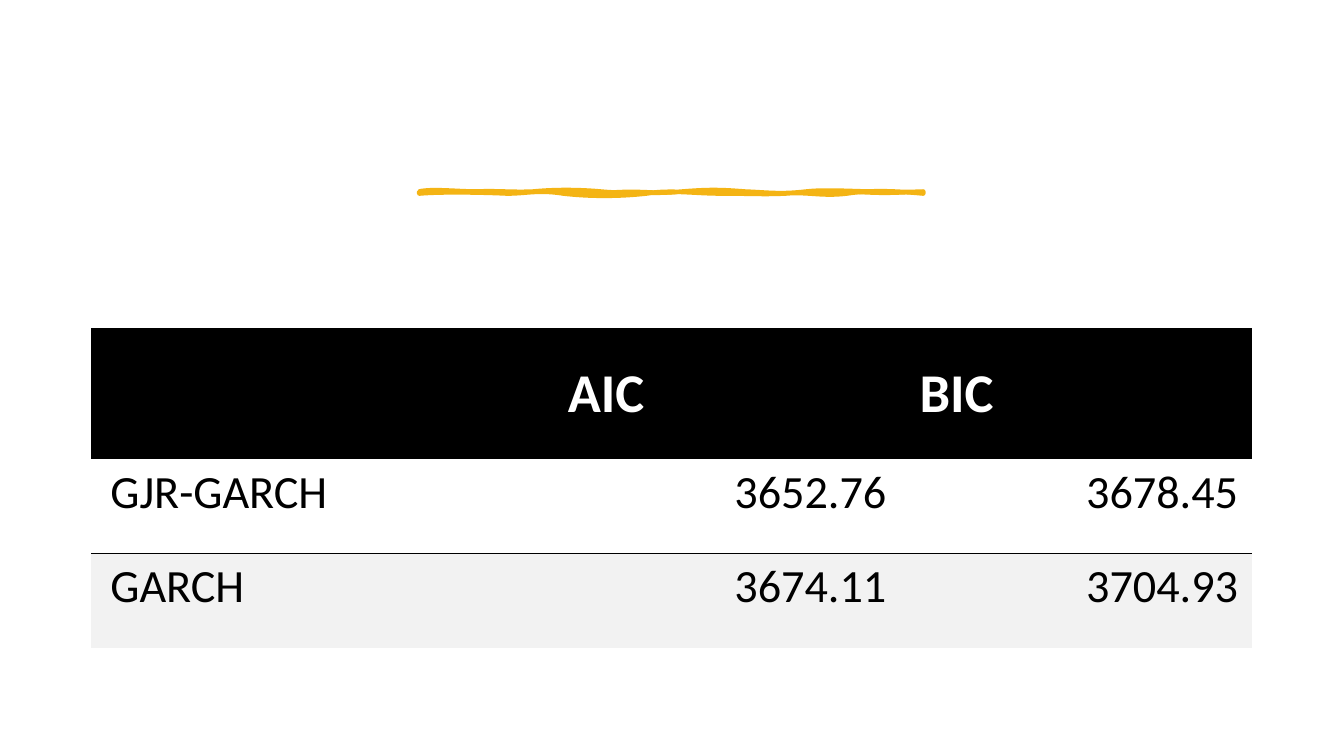
from dataclasses import dataclass

from lxml.etree import SubElement
from pptx import Presentation
from pptx.dml.color import RGBColor
from pptx.enum.text import MSO_ANCHOR, PP_ALIGN
from pptx.oxml import parse_xml
from pptx.oxml.ns import nsdecls, qn
from pptx.util import Pt


@dataclass(frozen=True)
class Theme:
    """Colours, font and sizes of the slide."""
    font: str = "Calibri"
    gold: str = "F4B414"
    black: str = "000000"
    white: str = "FFFFFF"
    band: str = "F2F2F2"
    header_size: float = 39
    body_size: float = 33
    stroke: float = 3.25
    rule: float = 1
    table_style: str = "{2D5ABB26-0587-4C30-8999-92F81FD0307C}"


THEME = Theme()
STROKE_UNITS = (500, 2)
EDGE_CURVES = [
    (12, -3, 38, 0, 57, 0), (76, -1, 93, 1, 113, 0), (133, -2, 158, -2, 180, 0),
    (201, 2, 237, 2, 261, 0), (286, -2, 298, -2, 323, 0), (347, 1, 358, 3, 384, 0),
    (410, -3, 451, 2, 500, 0), (501, 1, 500, 1, 500, 2), (479, 0, 449, -2, 424, 2),
    (399, 5, 385, 0, 363, 2), (340, 3, 331, 2, 301, 2), (271, 2, 251, -2, 225, 2),
    (198, 5, 169, 5, 143, 2), (118, -2, 107, 2, 87, 2), (67, 1, 22, 0, 0, 2),
    (0, 1, 0, 0, 0, 0),
]
BODY_CURVES = [
    (16, -1, 36, -2, 62, 0), (87, 1, 92, 2, 118, 0), (144, -2, 158, 2, 180, 0),
    (202, -3, 223, -2, 251, 0), (279, 1, 308, -3, 328, 0), (347, 2, 386, -2, 409, 0),
    (432, 1, 456, 3, 500, 0), (500, 0, 500, 1, 500, 2), (463, 4, 460, 4, 424, 2),
    (388, -1, 380, 1, 343, 2), (305, 2, 300, -2, 261, 2), (223, 6, 221, 0, 205, 2),
    (188, 3, 156, 3, 128, 2), (101, 0, 88, 1, 62, 2), (36, 2, 25, -1, 0, 2),
    (0, 1, 0, 0, 0, 0),
]
ROWS = [
    ("", "AIC", "BIC"),
    ("GJR-GARCH", "3652.76", "3678.45"),
    ("GARCH", "3674.11", "3704.93"),
]
ROW_HEIGHTS = (93.6, 67.4, 67.4)
COLUMN_SHARES = (0.394, 0.303, 0.303)


def colour(value):
    """Turn a hex string into a colour."""
    return RGBColor.from_string(value)


def apply_format(target, values):
    """Set each attribute named in a dict."""
    for name, value in values.items():
        setattr(target, name, value)


def add_point(parent, x, y):
    """Append one outline point."""
    SubElement(parent, qn("a:pt"), x=str(x), y=str(y))


def add_curves(outlines, curves, unit, options):
    """Append a closed chain of cubic curves that starts at the origin."""
    width, height = (str(Pt(size * unit)) for size in STROKE_UNITS)
    outline = SubElement(outlines, qn("a:path"), w=width, h=height, **options)
    add_point(SubElement(outline, qn("a:moveTo")), 0, 0)
    for curve in curves:
        bezier = SubElement(outline, qn("a:cubicBezTo"))
        for x, y in zip(curve[::2], curve[1::2]):
            add_point(bezier, Pt(x * unit), Pt(y * unit))
    SubElement(outline, qn("a:close"))


def add_brush_stroke(slide, box):
    """Draw the hand-painted divider."""
    left, top, width = box
    unit = width / STROKE_UNITS[0]
    right, bottom = left + width, top + STROKE_UNITS[1] * unit
    builder = slide.shapes.build_freeform(Pt(left), Pt(top))
    builder.add_line_segments([(Pt(right), Pt(top)), (Pt(right), Pt(bottom)),
                               (Pt(left), Pt(bottom))], close=True)
    divider = builder.convert_to_shape()
    outlines = divider._element.spPr.find(f'{qn("a:custGeom")}/{qn("a:pathLst")}')
    outlines.clear()
    add_curves(outlines, EDGE_CURVES, unit, {"fill": "none"})
    add_curves(outlines, BODY_CURVES, unit, {"stroke": "0"})
    divider.shadow.inherit = False
    divider.fill.solid()
    divider.fill.fore_color.rgb = colour(THEME.gold)
    divider.line.color.rgb = colour(THEME.gold)
    divider.line.width = Pt(THEME.stroke)


def add_border(cell, side):
    """Rule one side of a cell."""
    border = parse_xml(f'<a:{side} {nsdecls("a")} w="{Pt(THEME.rule)}"/>')
    fill = SubElement(border, qn("a:solidFill"))
    SubElement(fill, qn("a:srgbClr"), val=THEME.black)
    cell._tc.get_or_add_tcPr().insert(0, border)


def fill_cell(cell, text, row, column):
    """Write and format one table cell."""
    header = row == 0
    apply_format(cell, {
        "vertical_anchor": MSO_ANCHOR.MIDDLE,
        "margin_left": Pt(13.6),
        "margin_top": Pt(20 if header else 0),
        "margin_right": Pt(10),
        "margin_bottom": Pt(20),
    })
    background = (THEME.black, None, THEME.band)[row]
    if background:
        cell.fill.solid()
        cell.fill.fore_color.rgb = colour(background)
    else:
        cell.fill.background()
    if not header:
        add_border(cell, "lnB" if row == 1 else "lnT")
    if not text:
        return
    para = cell.text_frame.paragraphs[0]
    para.alignment = PP_ALIGN.LEFT if header or column == 0 else PP_ALIGN.RIGHT
    span = para.add_run()
    span.text = text
    apply_format(span.font, {
        "name": THEME.font,
        "size": Pt(THEME.header_size if header else THEME.body_size),
        "bold": header,
    })
    span.font.color.rgb = colour(THEME.white if header else THEME.black)


def add_criteria_table(slide, box):
    """Place the table of information criteria."""
    left, top, width = box
    frame = slide.shapes.add_table(len(ROWS), len(COLUMN_SHARES), Pt(left), Pt(top),
                                   Pt(width), Pt(sum(ROW_HEIGHTS)))
    table = frame.table
    table._tbl.tblPr.find(qn("a:tableStyleId")).text = THEME.table_style
    for column, share in zip(table.columns, COLUMN_SHARES):
        column.width = Pt(width * share)
    for row, texts in enumerate(ROWS):
        table.rows[row].height = Pt(ROW_HEIGHTS[row])
        for column, text in enumerate(texts):
            fill_cell(table.cell(row, column), text, row, column)


def main():
    """Build and save the deck."""
    deck = Presentation()
    apply_format(deck, {"slide_width": Pt(960), "slide_height": Pt(540)})
    page = deck.slides.add_slide(deck.slide_layouts[6])
    add_brush_stroke(page, (299.5, 136.8, 360))
    add_criteria_table(page, (65.3, 234.6, 829.2))
    deck.save("out.pptx")


if __name__ == "__main__":
    main()
